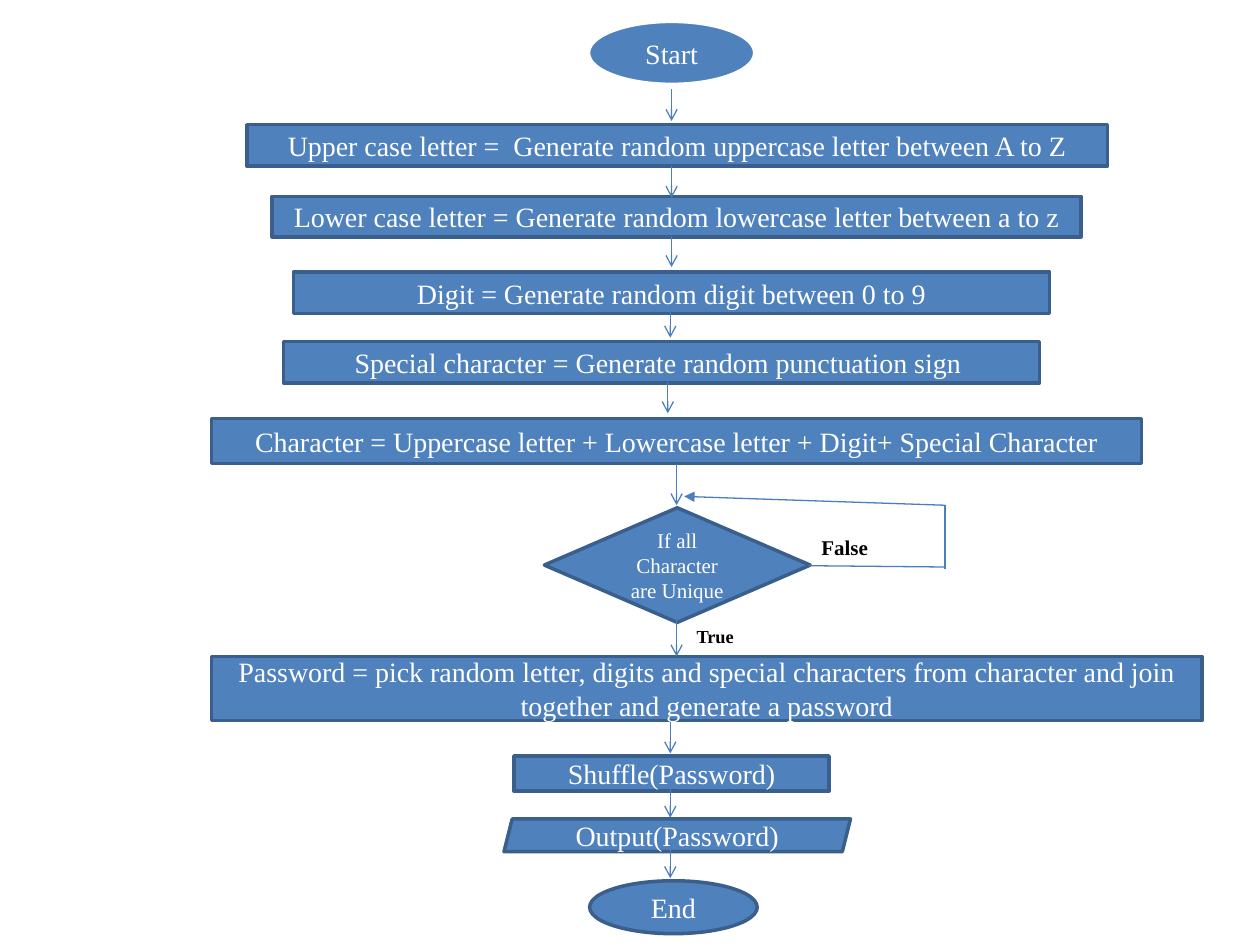
from pptx import Presentation
from pptx.dml.color import RGBColor
from pptx.enum.shapes import MSO_CONNECTOR, MSO_SHAPE
from pptx.enum.text import MSO_ANCHOR, MSO_AUTO_SIZE, PP_ALIGN
from pptx.oxml.ns import qn
from pptx.util import Inches, Pt
from lxml import etree

RECT = MSO_SHAPE.RECTANGLE
OVAL = MSO_SHAPE.OVAL
DIAMOND = MSO_SHAPE.DIAMOND
SLANTED = MSO_SHAPE.PARALLELOGRAM
STRAIGHT = MSO_CONNECTOR.STRAIGHT
CENTER, LEFT = PP_ALIGN.CENTER, PP_ALIGN.LEFT
MIDDLE, TOP = MSO_ANCHOR.MIDDLE, MSO_ANCHOR.TOP

BLUE = RGBColor(0x4F, 0x81, 0xBD)
EDGE = RGBColor(0x3A, 0x5F, 0x8C)
ARROW = RGBColor(0x4B, 0x7E, 0xBC)
WHITE = RGBColor(0xFF, 0xFF, 0xFF)
BLACK = RGBColor(0, 0, 0)
FONT = "Times New Roman"

# The slide is a grid of 100 columns and 75 rows
COLUMNS, ROWS = 100, 75
WIDTH, HEIGHT = Inches(10), Inches(7.5)

# Flowchart steps: shape, left, top, width, height, text
STEPS = [
    (RECT, 19.6, 9.9, 68.3, 3.3,
     "Upper case letter =  Generate random uppercase letter between A to Z"),
    (RECT, 21.6, 15.6, 64.2, 3.2,
     "Lower case letter = Generate random lowercase letter between a to z"),
    (RECT, 23.3, 21.6, 60, 3.3, "Digit = Generate random digit between 0 to 9"),
    (RECT, 22.5, 27.1, 60, 3.3,
     "Special character = Generate random punctuation sign "),
    (RECT, 16.8, 33.2, 73.8, 3.6,
     "Character = Uppercase letter + Lowercase letter + Digit+ Special Character"),
    (RECT, 16.8, 52.1, 78.6, 5.1,
     "Password = pick random letter, digits and special characters from "
     "character and join together and generate a password"),
    (RECT, 40.8, 60, 25, 2.8, "Shuffle(Password)"),
    (SLANTED, 40, 65, 27.5, 2.6, "Output(Password)"),
    (OVAL, 46.8, 69.9, 13.3, 4.2, "End"),
]

# Downward arrows: column, first row, last row
DOWN_ARROWS = [
    (53.3, 7.1, 9.6), (53.3, 13.2, 15.7), (53.3, 18.7, 21.2),
    (53.2, 24.3, 26.8), (53, 30.3, 32.8), (53.7, 36.8, 40.1),
    (53.7, 48.8, 52.1), (53.2, 57.3, 59.8), (53.2, 61.6, 64.9),
    (53.2, 66.3, 69.7),
]

# Corners of the loop taken when the check fails
LOOP = [
    ((64.2, 44.9), (75, 45), None),
    ((75, 45.2), (75, 40.1), None),
    ((75, 40.1), (54.3, 39.4), "triangle"),
]


def across(columns):
    return int(WIDTH * columns / COLUMNS)


def down(rows):
    return int(HEIGHT * rows / ROWS)


def place(left, top, width, height):
    return across(left), down(top), across(width), down(height)


def write(shape, text, size=16, color=WHITE, bold=False, align=CENTER, anchor=MIDDLE):
    frame = shape.text_frame
    frame.word_wrap = True
    frame.vertical_anchor = anchor
    para = frame.paragraphs[0]
    para.alignment = align
    span = para.add_run()
    span.text = text
    span.font.name = FONT
    span.font.size = Pt(size)
    span.font.bold = bold
    span.font.color.rgb = color


def add_step(page, kind, left, top, width, height, text, edge=EDGE, size=16):
    box = page.shapes.add_shape(kind, *place(left, top, width, height))
    box.shadow.inherit = False
    box.fill.solid()
    box.fill.fore_color.rgb = BLUE
    box.line.color.rgb = edge
    box.line.width = Pt(2)
    write(box, text, size=size)


def add_label(page, left, top, width, height, text, size):
    box = page.shapes.add_textbox(*place(left, top, width, height))
    write(box, text, size=size, color=BLACK, bold=True, align=LEFT, anchor=TOP)
    box.text_frame.auto_size = MSO_AUTO_SIZE.SHAPE_TO_FIT_TEXT


def add_line(page, start, end, head=None):
    line = page.shapes.add_connector(
        STRAIGHT, across(start[0]), down(start[1]), across(end[0]), down(end[1]))
    line.line.color.rgb = ARROW
    line.line.width = Pt(0.75)
    properties = line.line._get_or_add_ln()
    if head:
        etree.SubElement(properties, qn("a:tailEnd"), type=head)
    etree.SubElement(properties.getparent(), qn("a:effectLst"))


def main():
    deck = Presentation()
    deck.slide_width, deck.slide_height = WIDTH, HEIGHT
    page = deck.slides.add_slide(deck.slide_layouts[6])

    # Steps and the decision
    add_step(page, OVAL, 46.7, 1.7, 13.2, 5, "Start", edge=WHITE)
    for step in STEPS:
        add_step(page, *step)
    add_step(page, DIAMOND, 43.2, 40.3, 21.1, 9.1,
             "If all Character are Unique", size=12)

    # Flow
    for column, first, last in DOWN_ARROWS:
        add_line(page, (column, first), (column, last), head="arrow")
    for start, end, head in LOOP:
        add_line(page, start, end, head=head)

    # Branch labels
    add_label(page, 54.3, 49.1, 8.2, 2.8, "True", 10.5)
    add_label(page, 64.2, 41.9, 8.3, 3, "False", 12)

    deck.save("out.pptx")


main()
